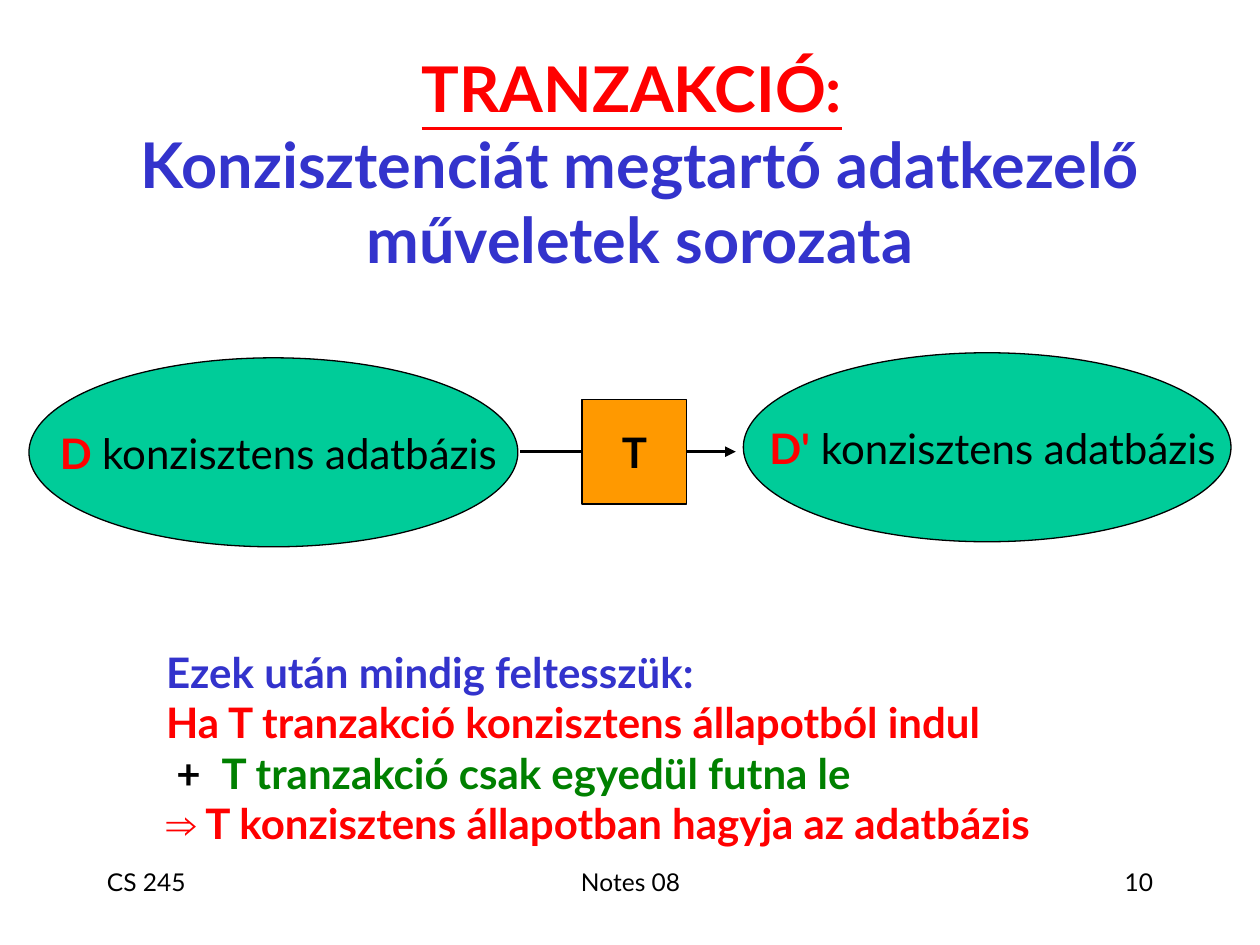
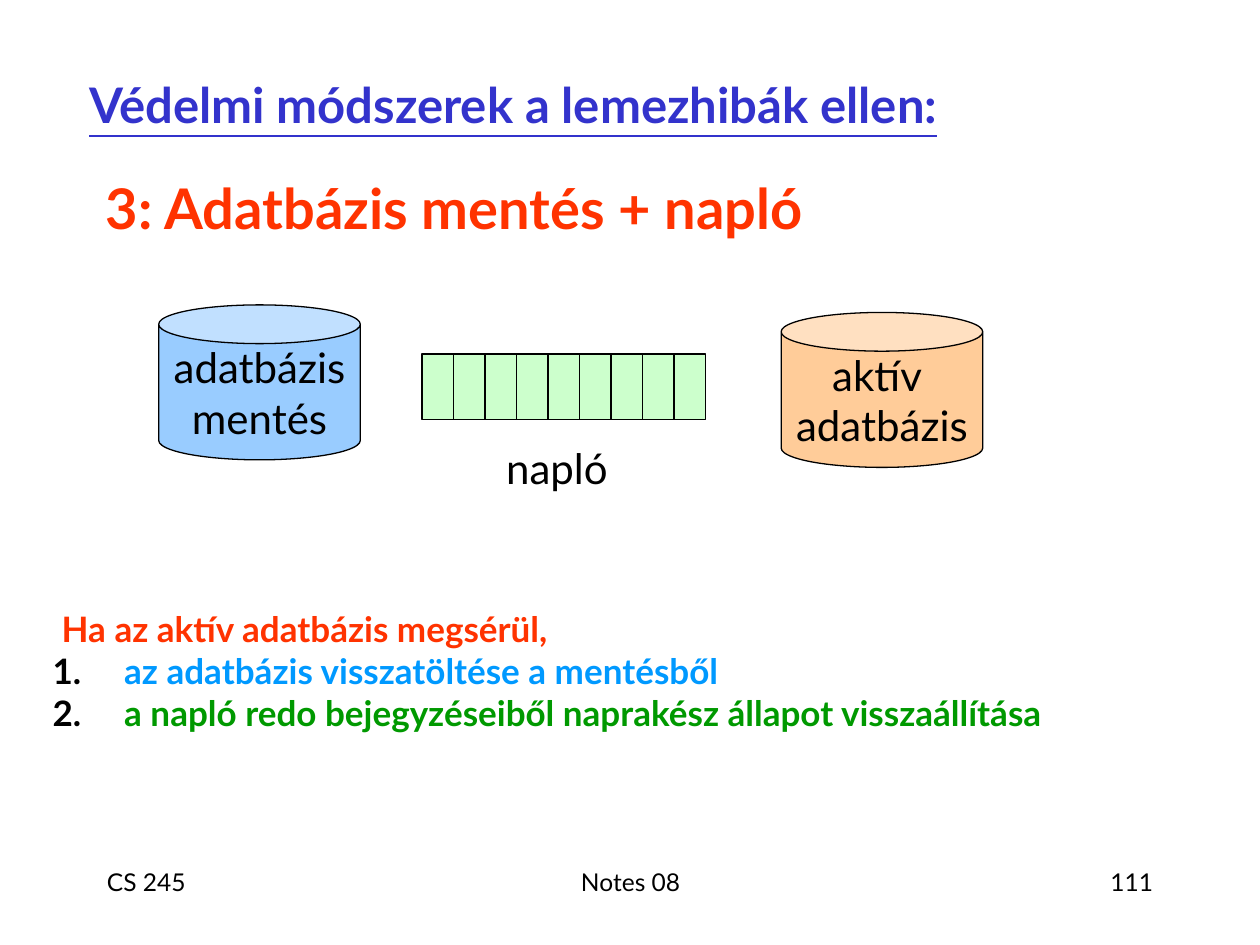
from dataclasses import dataclass

from lxml import etree
from pptx import Presentation
from pptx.dml.color import RGBColor
from pptx.enum.shapes import MSO_CONNECTOR, MSO_SHAPE
from pptx.enum.text import MSO_ANCHOR, MSO_AUTO_SIZE, PP_ALIGN
from pptx.oxml.ns import qn
from pptx.util import Inches, Pt

LEFT, CENTER, RIGHT = PP_ALIGN.LEFT, PP_ALIGN.CENTER, PP_ALIGN.RIGHT
TOP, MIDDLE = MSO_ANCHOR.TOP, MSO_ANCHOR.MIDDLE
NO_FIT = MSO_AUTO_SIZE.NONE
RECT, ELLIPSE, CAN = MSO_SHAPE.RECTANGLE, MSO_SHAPE.OVAL, MSO_SHAPE.CAN
STRAIGHT = MSO_CONNECTOR.STRAIGHT
SIDE_LEFT, SIDE_RIGHT = 1, 3


@dataclass(frozen=True)
class Theme:
    font: str = "Lato"
    symbol_font: str = "Arial"
    black: str = "000000"
    red: str = "FF0000"
    orange_red: str = "FF3300"
    blue: str = "3333CC"
    sky: str = "0099FF"
    dark_green: str = "008000"
    green: str = "009900"
    database_fill: str = "00CC99"
    transaction_fill: str = "FF9900"
    backup_fill: str = "99CCFF"
    active_fill: str = "FFCC99"
    log_fill: str = "CCFFCC"
    title: int = 36
    subtitle: int = 32
    heading: int = 28
    label: int = 24
    steps: int = 20
    footer: int = 14
    outline: float = 0.75
    arrow: float = 2


T = Theme()


@dataclass(frozen=True)
class Box:
    left: float
    top: float
    width: float
    height: float

    @property
    def right(self) -> float:
        return self.left + self.width

    @property
    def bottom(self) -> float:
        return self.top + self.height

    @property
    def middle(self) -> float:
        return self.top + self.height / 2

    def emu(self) -> tuple:
        return tuple(Inches(v) for v in (self.left, self.top, self.width, self.height))


@dataclass(frozen=True)
class Run:
    text: str
    color: str = T.black
    bold: bool = False
    underline: bool = False
    font: str = T.font


@dataclass(frozen=True)
class Para:
    runs: tuple
    before: float = 0
    margin: float = 0
    indent: float = 0
    numbered: bool = False


@dataclass(frozen=True)
class Node:
    kind: int
    box: Box
    fill: str
    paras: tuple = ()


BREAK = Run("\n")


def line(*runs: Run, **layout) -> Para:
    return Para(runs, **layout)


# Text
def style(font, run: Run) -> None:
    font.name, font.bold, font.underline = run.font, run.bold, run.underline
    font.color.rgb = RGBColor.from_string(run.color)


def number(p) -> None:
    pPr = p._p.get_or_add_pPr()
    color = etree.Element(qn("a:buClr"))
    etree.SubElement(color, qn("a:srgbClr"), val=T.black)
    pPr.insert(0, color)
    color.addnext(etree.Element(qn("a:buAutoNum"), type="arabicPeriod"))


def write(tf, paras: tuple, size: int, align=LEFT, anchor=TOP, wrap: bool = True) -> None:
    tf.word_wrap, tf.auto_size, tf.vertical_anchor = wrap, NO_FIT, anchor
    for i, para in enumerate(paras):
        p = tf.paragraphs[0] if i == 0 else tf.add_paragraph()
        p.alignment, p.space_before = align, Pt(para.before)
        pPr = p._p.get_or_add_pPr()
        pPr.set("marL", str(Inches(para.margin)))
        pPr.set("indent", str(Inches(para.indent)))
        p.font.size = Pt(size)
        uniform = len(para.runs) == 1
        if uniform:
            style(p.font, para.runs[0])
        for run in para.runs:
            if run is BREAK:
                p.add_line_break()
                continue
            r = p.add_run()
            r.text = run.text
            if not uniform:
                style(r.font, run)
        if para.numbered:
            number(p)


def add_text(s, box: Box, paras: tuple, size: int, align=LEFT, anchor=TOP, wrap: bool = True) -> None:
    write(s.shapes.add_textbox(*box.emu()).text_frame, paras, size, align, anchor, wrap)


def set_title(s, box: Box, para: Para, size: int, align) -> None:
    title = s.shapes.title
    title.left, title.top, title.width, title.height = box.emu()
    write(title.text_frame, (para,), size, align, MIDDLE)


# Shapes and lines
def add_node(s, node: Node):
    sp = s.shapes.add_shape(node.kind, *node.box.emu())
    sp.shadow.inherit = False
    sp.fill.solid()
    sp.fill.fore_color.rgb = RGBColor.from_string(node.fill)
    sp.line.color.rgb = RGBColor.from_string(T.black)
    sp.line.width = Pt(T.outline)
    if node.paras:
        write(sp.text_frame, node.paras, T.label, CENTER, MIDDLE, wrap=False)
    return sp


def add_line(s, x1: float, y1: float, x2: float, y2: float, width: float, head: bool = False):
    cx = s.shapes.add_connector(STRAIGHT, Inches(x1), Inches(y1), Inches(x2), Inches(y2))
    cx.line.color.rgb = RGBColor.from_string(T.black)
    cx.line.width = Pt(width)
    if head:
        etree.SubElement(cx.line._get_or_add_ln(), qn("a:tailEnd"), type="triangle")
    etree.SubElement(cx._element.spPr, qn("a:effectLst"))
    return cx


# Footer shared by both slides
def add_footer(s, page: str) -> None:
    for left, width, text, align in (
        (3.42, 3.17, "Notes 08", CENTER),
        (7.17, 2.08, page, RIGHT),
        (0.75, 2.08, "CS 245", LEFT),
    ):
        add_text(s, Box(left, 6.83, width, 0.5), (line(Run(text)),), T.footer, align)


def transaction_slide(s) -> None:
    set_title(s, Box(0.46, 0.67, 9.24, 1.25), line(
        Run("TRANZAKCIÓ:", T.red, bold=True, underline=True), Run(" "), BREAK,
        Run("Konzisztenciát megtartó adatkezelő műveletek sorozata", T.blue, bold=True),
    ), T.title, CENTER)

    # Database before, transaction, database after
    before = Node(ELLIPSE, Box(0.23, 2.84, 3.88, 1.5), T.database_fill, (
        line(Run(" D ", T.red, bold=True), Run("konzisztens adatbázis")),))
    step = Node(RECT, Box(4.62, 3.17, 0.83, 0.83), T.transaction_fill, (
        line(Run("T", bold=True)),))
    after = Node(ELLIPSE, Box(5.9, 2.8, 3.87, 1.5), T.database_fill, (
        line(Run(" "), Run("D'", T.red, bold=True), Run(" konzisztens adatbázis")),))
    add_node(s, before)
    step_sp = add_node(s, step)
    add_node(s, after)

    y = step.box.middle
    add_line(s, 4.13, y, step.box.left, y, T.arrow).end_connect(step_sp, SIDE_LEFT)
    add_line(s, step.box.right, y, 5.84, y, T.arrow, head=True).begin_connect(step_sp, SIDE_RIGHT)

    # Assumption
    add_text(s, Box(1.22, 5.08, 8.22, 2.31), (
        line(Run("Ezek után mindig feltesszük:", T.blue, bold=True), before=15),
        line(Run("Ha T tranzakció konzisztens állapotból indul", T.red, bold=True)),
        line(Run("+\t", bold=True),
             Run("T tranzakció csak egyedül futna le", T.dark_green, bold=True),
             margin=0.44, indent=-0.36),
        line(Run("⇒", T.red, bold=True, font=T.symbol_font),
             Run(" T konzisztens állapotban hagyja az adatbázis", T.red, bold=True)),
    ), T.label)
    add_footer(s, "10")


def backup_slide(s) -> None:
    set_title(s, Box(0.74, 1.22, 8.5, 0.85), line(
        Run("3: Adatbázis mentés + napló", T.orange_red, bold=True)), T.subtitle, LEFT)

    # Backup and active database
    for left, top, fill, words in (
        (1.26, 2.42, T.backup_fill, ("adatbázis", "mentés")),
        (6.2, 2.48, T.active_fill, ("aktív ", "adatbázis")),
    ):
        add_node(s, Node(CAN, Box(left, top, 1.6, 1.23), fill,
                         tuple(line(Run(word)) for word in words)))

    # Log divided into equal records
    log, records = Box(3.35, 2.81, 2.25, 0.52), 9
    add_node(s, Node(RECT, log, T.log_fill))
    for i in range(1, records):
        x = log.left + i * log.width / records
        add_line(s, x, log.top, x, log.bottom, T.outline)
    add_text(s, Box(3.88, 3.46, 1.08, 0.5), (line(Run("napló")),),
             T.label, CENTER, MIDDLE, wrap=False)

    # Recovery steps
    hanging = {"margin": 0.5, "indent": -0.5}
    steps = (
        ("az adatbázis visszatöltése a mentésből", T.sky),
        ("a napló redo bejegyzéseiből naprakész állapot visszaállítása", T.green),
    )
    add_text(s, Box(0.32, 4.77, 9.4, 1.1), (
        line(Run(" "), Run("Ha az aktív adatbázis megsérül,", T.orange_red, bold=True), **hanging),
        *(line(Run(" ", bold=True), Run(text, color, bold=True), numbered=True, **hanging)
          for text, color in steps),
    ), T.steps, anchor=MIDDLE)

    # Section heading
    add_text(s, Box(0.61, 0.2, 8.5, 1.25), (
        line(Run("Védelmi módszerek a lemezhibák ellen:", T.blue, bold=True, underline=True)),
    ), T.heading, anchor=MIDDLE)
    add_footer(s, "111")


def main() -> None:
    prs = Presentation()
    prs.slide_width, prs.slide_height = Inches(10), Inches(7.5)
    title_only = prs.slide_layouts[5]
    for build in (transaction_slide, backup_slide):
        build(prs.slides.add_slide(title_only))
    prs.save("out.pptx")


if __name__ == "__main__":
    main()
